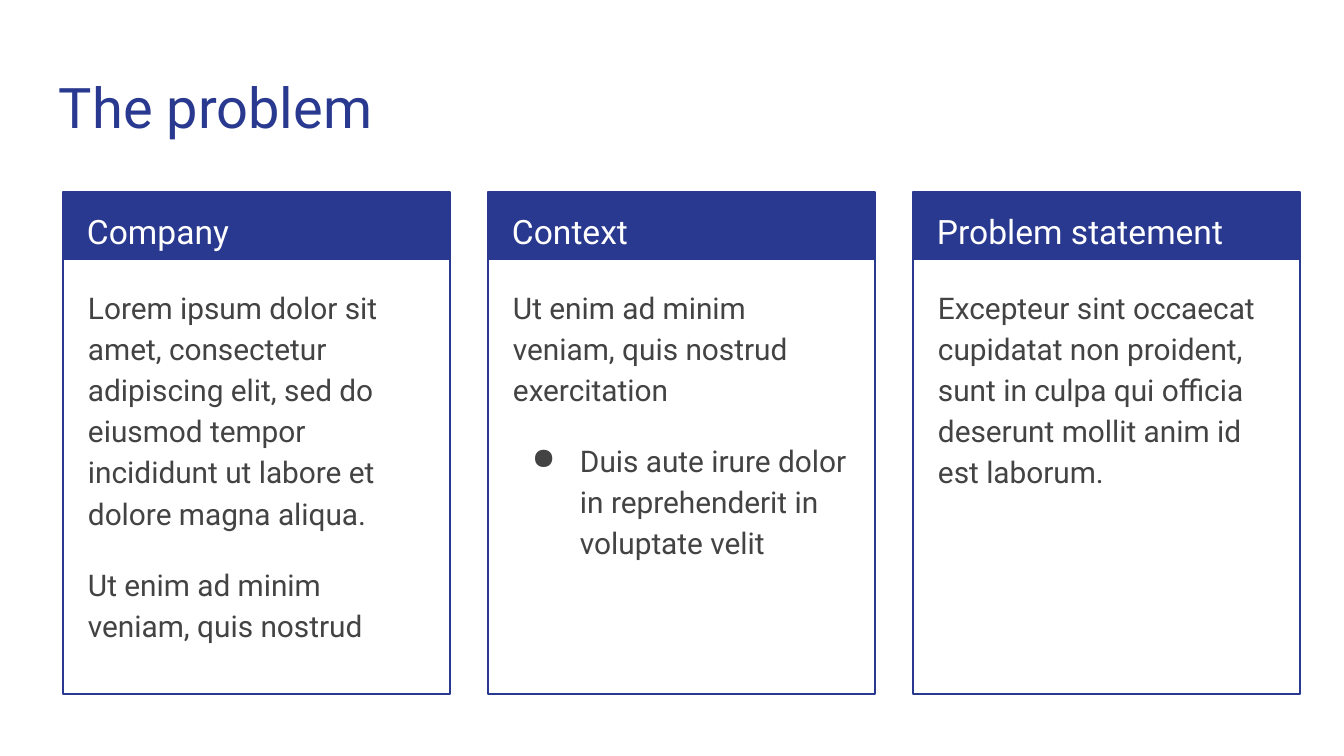
from pptx import Presentation
from pptx.dml.color import RGBColor
from pptx.enum.shapes import MSO_SHAPE
from pptx.enum.text import MSO_ANCHOR, MSO_AUTO_SIZE, PP_ALIGN
from pptx.util import Pt
from lxml.etree import SubElement

THEME = {
    "font": "Roboto",
    "blue": RGBColor.from_string("2A3990"),
    "white": RGBColor.from_string("FFFFFF"),
    "gray": RGBColor.from_string("434343"),
    "title": 30, "head": 18, "body": 16, "line": 0.75,
}
SCALE = 914400 / 134.4
NS = "{http://schemas.openxmlformats.org/drawingml/2006/main}"


def px(*nums):
    return [round(n * SCALE) for n in nums]


def write(box, lines, size, color, space=None):
    frame = box.text_frame
    frame.word_wrap = True
    frame.auto_size = MSO_AUTO_SIZE.NONE
    frame.vertical_anchor = MSO_ANCHOR.TOP
    inset, = px(13)
    frame.margin_left = frame.margin_right = inset
    frame.margin_top = frame.margin_bottom = inset
    frame.text = "\n".join(lines)
    for para in frame.paragraphs:
        para.alignment = PP_ALIGN.LEFT
        para.line_spacing = space
        para.font.name = THEME["font"]
        para.font.size = Pt(THEME[size])
        para.font.color.rgb = THEME[color]
    for para in frame.paragraphs[1:]:
        para.space_before = Pt(16)


deck = Presentation()
deck.slide_width, deck.slide_height = px(1344, 756)
slide = deck.slides.add_slide(deck.slide_layouts[5])
shapes = slide.shapes

title = shapes.title
title.left, title.top, title.width, title.height = px(46, 60, 1253, 89)
write(title, ["The problem"], "title", "blue")

cards = [
    ("Company", [
        "Lorem ipsum dolor sit amet, consectetur adipiscing elit, sed do "
        "eiusmod tempor incididunt ut labore et dolore magna aliqua.",
        "Ut enim ad minim veniam, quis nostrud"]),
    ("Context", [
        "Ut enim ad minim veniam, quis nostrud exercitation",
        "Duis aute irure dolor in reprehenderit in voluptate velit"]),
    ("Problem statement", [
        "Excepteur sint occaecat cupidatat non proident, sunt in culpa qui "
        "officia deserunt mollit anim id est laborum."]),
]

for col, (head, lines) in enumerate(cards):
    left = 63 + 425 * col
    group = shapes.add_group_shape()
    band = group.shapes.add_shape(MSO_SHAPE.RECTANGLE, *px(left, 192, 387, 68))
    band.fill.solid()
    band.fill.fore_color.rgb = THEME["blue"]
    band.line.fill.background()
    frame = group.shapes.add_shape(MSO_SHAPE.RECTANGLE, *px(left, 192, 387, 502))
    frame.fill.background()
    frame.line.color.rgb = THEME["blue"]
    frame.line.width = Pt(THEME["line"])
    for rect in (band, frame):
        rect.shadow.inherit = False

    label = shapes.add_textbox(*px(left + 11, 192, 367, 67))
    write(label, [head], "head", "white", 1.15)
    body = shapes.add_textbox(*px(left + 12, 271, 364, 411))
    write(body, lines, "body", "gray", 1.15)

    if head == "Context":
        props = body.text_frame.paragraphs[1]._p.get_or_add_pPr()
        indent, hang = px(67, -48)
        props.set("marL", str(indent))
        props.set("indent", str(hang))
        mark = SubElement(props, NS + "buChar", char="●")
        props.find(NS + "defRPr").addprevious(mark)

deck.save("out.pptx")
